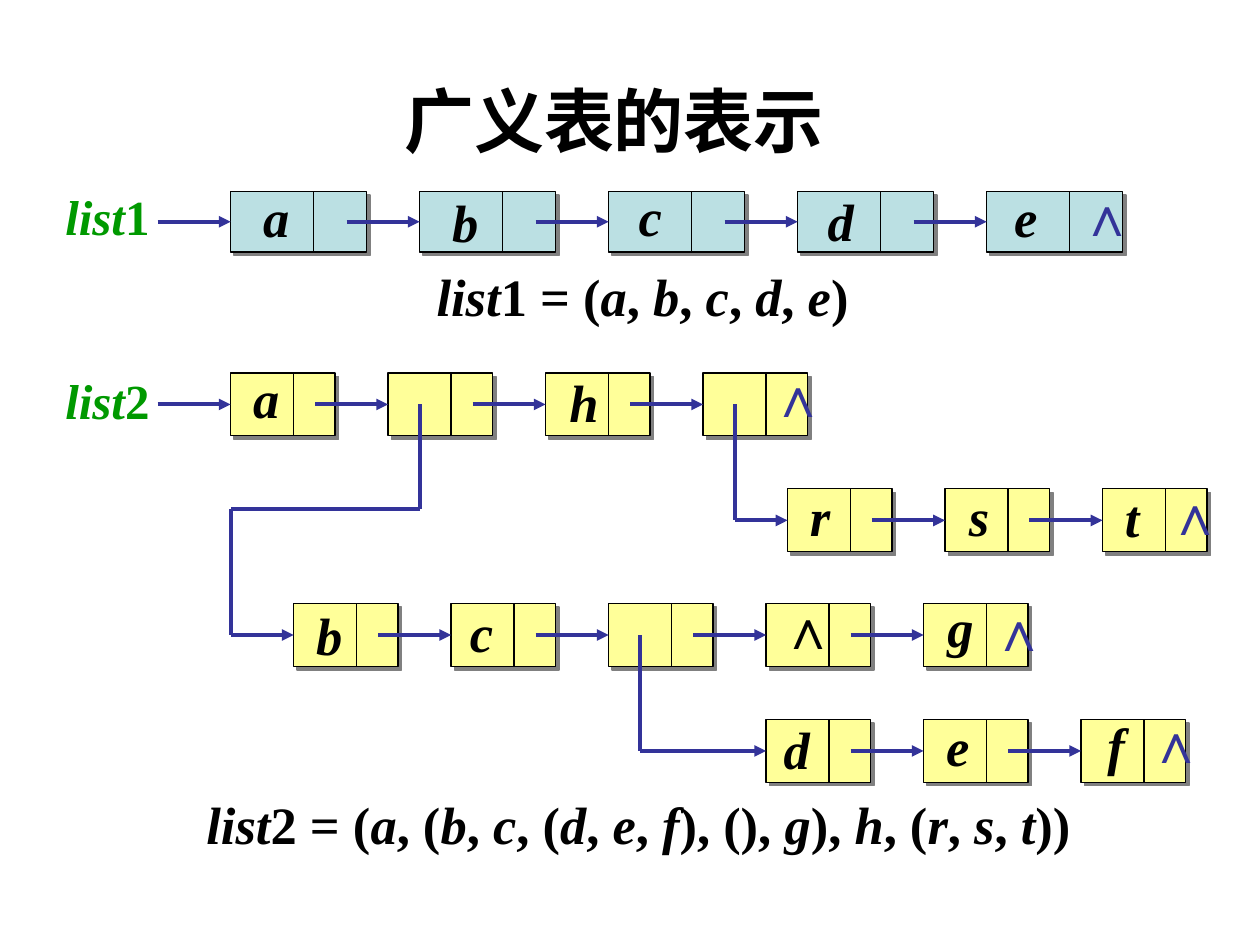
from itertools import groupby, pairwise

from lxml import etree
from pptx import Presentation
from pptx.dml.color import RGBColor
from pptx.enum import shapes, text
from pptx.oxml import ns
from pptx.util import Inches, Pt

LATIN, CHINESE = "Times New Roman", "Noto Sans CJK SC"
BLACK, INDIGO, GREEN, GRAY = "000000", "333399", "009900", "808080"
NIL = "∧"

TITLE = "广义表的表示"
# formula, left, top, width, alignment
FORMULAS = [
    ("list1 = (a, b, c, d, e)", 0.62, 2.05, 8.96, text.PP_ALIGN.CENTER),
    ("list2 = (a, (b, c, (d, e, f), (), g), h, (r, s, t))",
     1.54, 6.24, 7.21, text.PP_ALIGN.LEFT),
]

# node geometry: arrow_start is where the pointer leaves, measured from the node's left
WIDE = dict(fill="BBE0E3", width=1.08, height=0.48, divider=0.66, pitch=1.5, arrow_start=0.92)
NARROW = dict(fill="FFFF99", width=0.83, height=0.5, divider=0.5, pitch=1.25, arrow_start=0.67)

# each node: (label, label offset right, label offset down)
EMPTY = ("", 0, 0)
# route: corners of the line leading to the first node
LISTS = [
    dict(name="list1", name_top=1.43, style=WIDE, chains=[
        dict(left=1.83, top=1.52, route=[(1.25, 1.76)], nil=(0.64, -0.14), nodes=[
            ("a", 0.16, -0.1), ("b", 0.16, -0.06), ("c", 0.14, -0.11),
            ("d", 0.14, -0.07), ("e", 0.12, -0.1)]),
    ]),
    dict(name="list2", name_top=2.89, style=NARROW, chains=[
        dict(left=1.83, top=2.96, route=[(1.25, 3.21)], nil=(0.44, -0.14), nodes=[
            ("a", 0.08, -0.1), EMPTY, ("h", 0.09, -0.07), EMPTY]),
        dict(left=6.25, top=3.88, route=[(5.83, 3.21), (5.83, 4.13)], nil=(0.42, -0.12), nodes=[
            ("r", 0.08, -0.09), ("s", 0.09, -0.09), ("t", 0.08, -0.08)]),
        dict(left=2.33, top=4.79, nil=(0.44, -0.11),
             route=[(3.33, 3.21), (3.33, 4.04), (1.83, 4.04), (1.83, 5.04)], nodes=[
                 ("b", 0.08, -0.05), ("c", 0.05, -0.08), EMPTY,
                 (NIL, 0.02, -0.13), ("g", 0.09, -0.12)]),
        dict(left=6.08, top=5.71, route=[(5.08, 5.04), (5.08, 5.96)], nil=(0.44, -0.14), nodes=[
            ("d", 0.04, -0.07), ("e", 0.08, -0.09), ("f", 0.11, -0.1)]),
    ]),
]


def rgb(value):
    return RGBColor.from_string(value)


def add_text(target, content, left, top, width, height=0.6, size=30, color=BLACK,
             font=LATIN, align=text.PP_ALIGN.LEFT, italic_letters=True):
    """Add a bold text box; letters are italic, digits and signs upright."""
    box = target.add_textbox(Inches(left), Inches(top), Inches(width), Inches(height))
    box.text_frame.word_wrap = True
    paragraph = box.text_frame.paragraphs[0]
    paragraph.alignment = align
    for is_letter, characters in groupby(content, str.isalpha):
        run = paragraph.add_run()
        run.text = "".join(characters)
        run.font.size = Pt(size)
        run.font.name = font
        run.font.bold = True
        run.font.italic = is_letter and italic_letters
        run.font.color.rgb = rgb(color)
        etree.SubElement(run.font._element, ns.qn("a:ea"), typeface=font)


def add_label(target, label, left, top, color=BLACK):
    if label == NIL:
        add_text(target, label, left, top, 0.47, 0.63, size=32, color=color)
    else:
        add_text(target, label, left, top, 0.42, color=color)


def add_line(target, start, end, color=INDIGO, weight=2.25, arrow_to=None):
    """Draw a line; with arrow_to it ends in an arrowhead at that node's left side."""
    line = target.add_connector(shapes.MSO_CONNECTOR.STRAIGHT,
                                *(Inches(value) for value in (*start, *end)))
    line.line.color.rgb = rgb(color)
    line.line.width = Pt(weight)
    if arrow_to is not None:
        line.end_connect(arrow_to, 1)
        etree.SubElement(line.line._get_or_add_ln(), ns.qn("a:tailEnd"), type="triangle")
    etree.SubElement(line._element.spPr, ns.qn("a:effectLst"))


def add_node(target, left, top, style):
    node = target.add_shape(shapes.MSO_SHAPE.RECTANGLE, Inches(left), Inches(top),
                            Inches(style["width"]), Inches(style["height"]))
    node.fill.solid()
    node.fill.fore_color.rgb = rgb(style["fill"])
    node.line.color.rgb = rgb(BLACK)
    node.line.width = Pt(0.75)
    node.shadow.inherit = False
    effects = node._element.spPr.find(ns.qn("a:effectLst"))
    shadow = etree.SubElement(effects, ns.qn("a:outerShdw"), dist=str(Pt(2.8)),
                              dir="2700000", algn="ctr", rotWithShape="0")
    etree.SubElement(shadow, ns.qn("a:srgbClr"), val=GRAY)
    divider = left + style["divider"]
    add_line(target, (divider, top), (divider, top + style["height"]), BLACK, 0.75)
    return node


def add_chain(target, chain, style):
    top = chain["top"]
    middle = top + style["height"] / 2
    lefts = [chain["left"] + i * style["pitch"] for i in range(len(chain["nodes"]))]
    nodes = [add_node(target, left, top, style) for left in lefts]

    for start, end in pairwise(chain["route"]):
        add_line(target, start, end)
    add_line(target, chain["route"][-1], (lefts[0], middle), arrow_to=nodes[0])
    for left, next_left, next_node in zip(lefts, lefts[1:], nodes[1:]):
        add_line(target, (left + style["arrow_start"], middle), (next_left, middle),
                 arrow_to=next_node)

    for left, (label, right, down) in zip(lefts, chain["nodes"]):
        if label:
            add_label(target, label, left + right, top + down)
    right, down = chain["nil"]
    add_label(target, NIL, lefts[-1] + right, top + down, INDIGO)


def main():
    presentation = Presentation()
    presentation.slide_width, presentation.slide_height = Inches(10), Inches(7.5)
    slide = presentation.slides.add_slide(presentation.slide_layouts[6])

    add_text(slide.shapes, TITLE, 3.11, 0.57, 4.17, 0.77, size=40, font=CHINESE,
             italic_letters=False)
    for formula, left, top, width, align in FORMULAS:
        add_text(slide.shapes, formula, left, top, width, align=align)
    for item in LISTS:
        group = slide.shapes.add_group_shape().shapes
        add_text(group, item["name"], 0.42, item["name_top"], 0.95, 0.57, size=28, color=GREEN)
        for chain in item["chains"]:
            add_chain(group, chain, item["style"])

    presentation.save("out.pptx")


if __name__ == "__main__":
    main()
